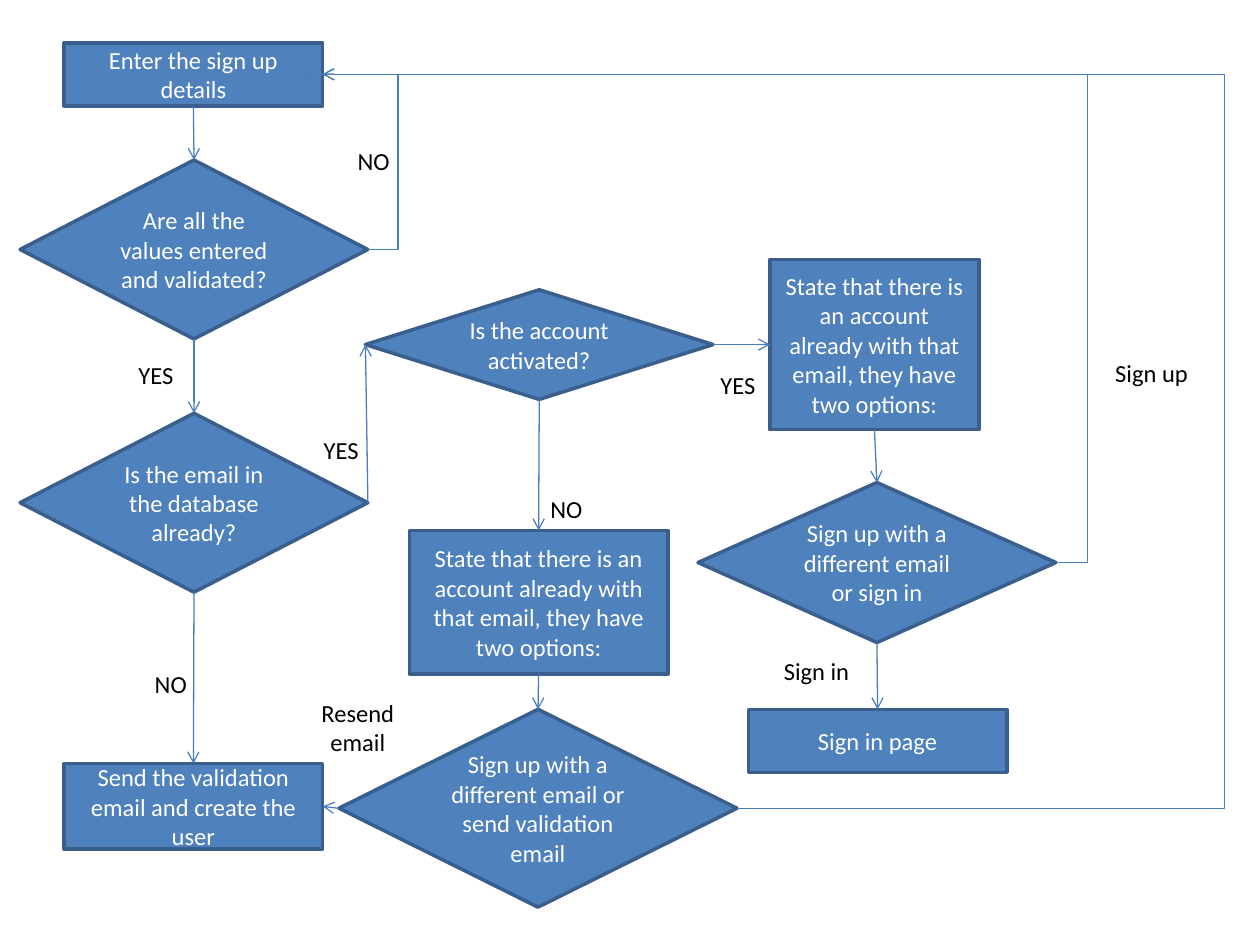
from lxml import etree
from pptx import Presentation
from pptx.dml.color import RGBColor
from pptx.enum import shapes, text
from pptx.oxml.ns import qn
from pptx.util import Inches, Pt

HUES = {"fill": "4F81BD", "edge": "3A5F8C", "link": "4B7EBC",
        "light": "FFFFFF", "dark": "000000"}
KINDS = {"box": shapes.MSO_SHAPE.FLOWCHART_PROCESS,
         "ask": shapes.MSO_SHAPE.FLOWCHART_DECISION}
STATE = ("State that there is an account already with that email, "
         "they have two options:")

# Nodes: name, kind, left, top, width, height, words
NODES = [
    ("enter", "box", 0.51, 0.34, 2.05, 0.5, "Enter the sign up details"),
    ("valid", "ask", 0.16, 1.27, 2.76, 1.42,
     "Are all the values entered and validated?"),
    ("known", "ask", 0.16, 3.28, 2.76, 1.42,
     "Is the email in the database already?"),
    ("send", "box", 0.51, 6.06, 2.05, 0.68,
     "Send the validation email and create the user"),
    ("active", "ask", 2.9, 2.3, 2.76, 0.87, "Is the account activated?"),
    ("idle", "box", 3.25, 4.21, 2.05, 1.14, STATE),
    ("resend", "ask", 2.69, 5.63, 3.16, 1.57,
     "Sign up with a different email or send validation email"),
    ("taken", "box", 6.11, 2.06, 1.66, 1.35, STATE),
    ("choose", "ask", 5.54, 3.83, 2.84, 1.27,
     "Sign up with a different email or sign in"),
    ("page", "box", 5.94, 5.63, 2.05, 0.5, "Sign in page"),
]

# Short answers sit left, longer ones are centred: left, top, words
SHORT = [(2.74, 1.11, "NO"), (1.13, 5.26, "NO"), (1, 2.81, "YES"),
         (5.62, 2.89, "YES"), (2.47, 3.4, "YES"), (4.27, 3.87, "NO")]
LONG = [(2.4, 5.49, 0.57, "Resend email"), (8.7, 2.79, 0.34, "Sign up"),
        (6.04, 5.16, 0.34, "Sign in")]

# Straight arrows: from node and side, to node and side
LINKS = [
    ("enter", "bottom", "valid", "top"),
    ("valid", "bottom", "known", "top"),
    ("known", "bottom", "send", "top"),
    ("known", "right", "active", "left"),
    ("active", "right", "taken", "left"),
    ("active", "bottom", "idle", "top"),
    ("idle", "bottom", "resend", "top"),
    ("taken", "bottom", "choose", "top"),
    ("choose", "bottom", "page", "top"),
    ("resend", "left", "send", "right"),
]

# Arrows back to the start: from node, x of the turn, x of the tip
LOOPS = [("resend", 9.72, 2.56), ("choose", 8.63, 2.4), ("valid", 3.16, 2.56)]


def hue(name):
    return RGBColor.from_string(HUES[name])


def write(frame, words, tone, align):
    frame.word_wrap = True
    para = frame.paragraphs[0]
    para.alignment = align
    run = para.add_run()
    run.text = words
    run.font.name = "Calibri"
    run.font.size = Pt(14)
    run.font.color.rgb = hue(tone)


def node(slide, kind, left, top, wide, high, words):
    item = slide.shapes.add_shape(KINDS[kind], Inches(left), Inches(top),
                                  Inches(wide), Inches(high))
    item.shadow.inherit = False
    item.fill.solid()
    item.fill.fore_color.rgb = hue("fill")
    item.line.color.rgb = hue("edge")
    item.line.width = Pt(2)
    item.text_frame.vertical_anchor = text.MSO_ANCHOR.MIDDLE
    write(item.text_frame, words, "light", text.PP_ALIGN.CENTER)
    return item


def label(slide, left, top, wide, high, words, align):
    item = slide.shapes.add_textbox(Inches(left), Inches(top),
                                    Inches(wide), Inches(high))
    item.text_frame.auto_size = text.MSO_AUTO_SIZE.SHAPE_TO_FIT_TEXT
    write(item.text_frame, words, "dark", align)


def spot(item, side):
    """Middle of one side of a node."""
    mid_x = item.left + item.width // 2
    mid_y = item.top + item.height // 2
    return {"top": (mid_x, item.top),
            "bottom": (mid_x, item.top + item.height),
            "left": (item.left, mid_y),
            "right": (item.left + item.width, mid_y)}[side]


def arrow(slide, start, end, turn=None):
    kind = shapes.MSO_CONNECTOR.STRAIGHT
    if turn is not None:
        kind = shapes.MSO_CONNECTOR.ELBOW
    line = slide.shapes.add_connector(kind, *start, *end)
    line.line.color.rgb = hue("link")
    line.line.width = Pt(0.75)
    props = line._element.spPr
    etree.SubElement(line.line._get_or_add_ln(), qn("a:tailEnd"), type="arrow")
    etree.SubElement(props, qn("a:effectLst"))
    if turn is not None:
        # The bend is a share of the run from start to end
        share = round((turn - start[0]) / (end[0] - start[0]) * 100000)
        geom = props.find(qn("a:prstGeom"))
        bends = geom.find(qn("a:avLst"))
        if bends is None:
            bends = etree.SubElement(geom, qn("a:avLst"))
        etree.SubElement(bends, qn("a:gd"), name="adj1", fmla=f"val {share}")


def main():
    deck = Presentation()
    deck.slide_width, deck.slide_height = Inches(10), Inches(7.5)
    slide = deck.slides.add_slide(deck.slide_layouts[6])

    # Steps and questions
    nodes = {name: node(slide, *rest) for name, *rest in NODES}

    # Answers
    for left, top, words in SHORT:
        label(slide, left, top, 0.54, 0.34, words, text.PP_ALIGN.LEFT)
    for left, top, high, words in LONG:
        label(slide, left, top, 0.88, high, words, text.PP_ALIGN.CENTER)

    # Arrows
    for first, out, last, into in LINKS:
        arrow(slide, spot(nodes[first], out), spot(nodes[last], into))
    row = spot(nodes["enter"], "right")[1]
    for first, turn, tip in LOOPS:
        arrow(slide, spot(nodes[first], "right"), (Inches(tip), row),
              Inches(turn))

    deck.save("out.pptx")


main()
